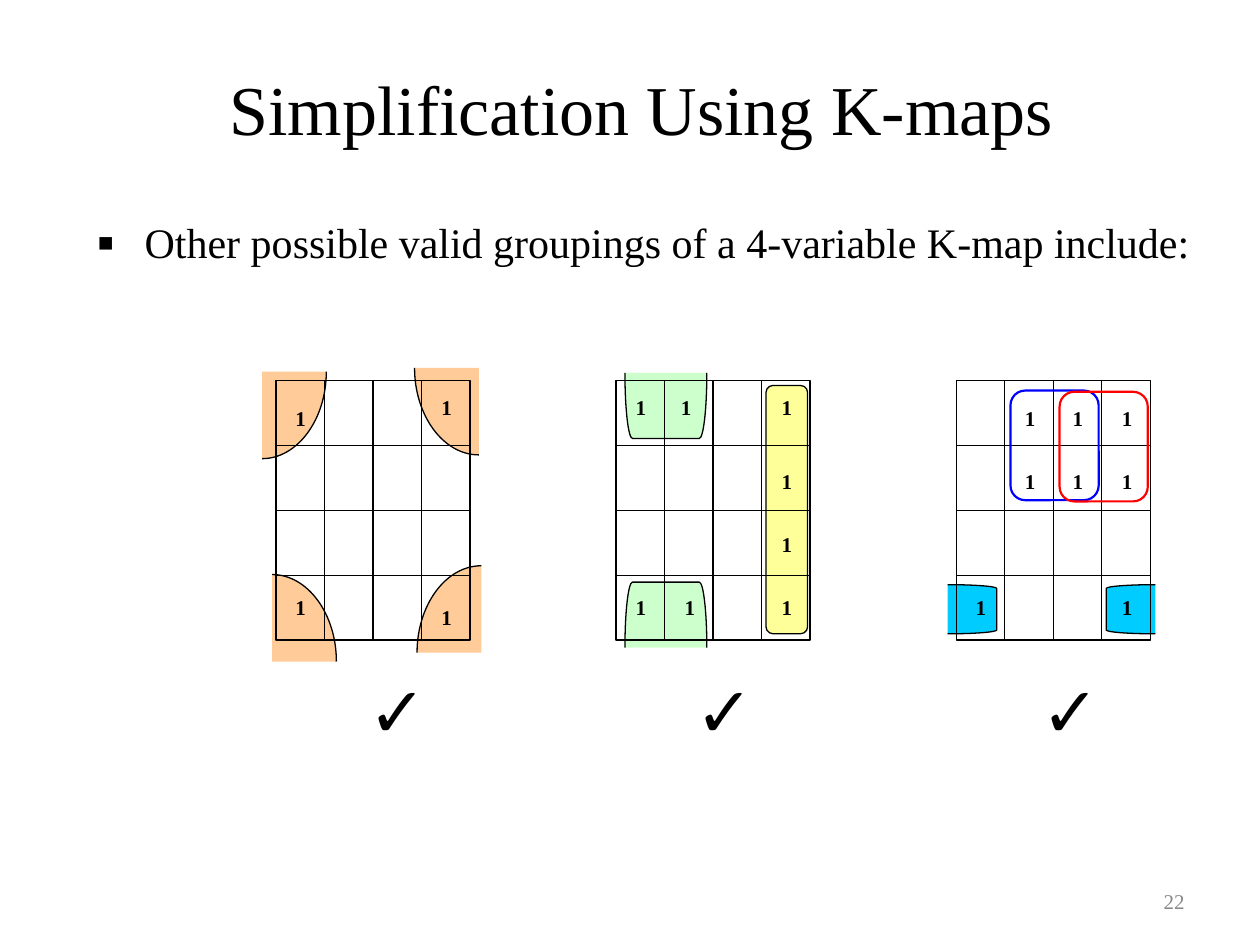
from copy import deepcopy

from lxml import etree
from pptx import Presentation
from pptx.dml.color import RGBColor
from pptx.enum.shapes import MSO_CONNECTOR, MSO_SHAPE
from pptx.enum.text import MSO_ANCHOR, PP_ALIGN
from pptx.oxml.ns import qn
from pptx.util import Pt

PX = 9144
RECT, ROUND = MSO_SHAPE.RECTANGLE, MSO_SHAPE.ROUNDED_RECTANGLE
STRAIGHT = MSO_CONNECTOR.STRAIGHT
TOP, MIDDLE = MSO_ANCHOR.TOP, MSO_ANCHOR.MIDDLE
LEFT, CENTER, RIGHT = PP_ALIGN.LEFT, PP_ALIGN.CENTER, PP_ALIGN.RIGHT
SERIF, BLACK = "Times New Roman", "000000"
WIDE, HIGH, CELLS = 154, 206, 4
BOW = 0.55


def emu(*vals):
    """Turn px lengths into EMU."""
    return [round(val * PX) for val in vals]


def rgb(code):
    """Turn a hex string into a colour."""
    return RGBColor.from_string(code)


def style(shape, fill=None, line=BLACK, width=0.75):
    """Set the fill and outline of a shape."""
    shape.shadow.inherit = False
    if fill:
        shape.fill.solid()
        shape.fill.fore_color.rgb = rgb(fill)
    else:
        shape.fill.background()
    shape.line.color.rgb = rgb(line)
    shape.line.width = Pt(width)


def write(shapes, box, text, size, align=LEFT, anchor=TOP,
          color=BLACK, face=SERIF, bold=False, bullet=None):
    """Add a text box of one paragraph."""
    frame = shapes.add_textbox(*emu(*box)).text_frame
    frame.word_wrap = True
    frame.vertical_anchor = anchor
    para = frame.paragraphs[0]
    para.text = text
    para.alignment = align
    if bullet:
        props = para._p.get_or_add_pPr()
        dent = emu(38)[0]
        props.set("marL", str(dent))
        props.set("indent", str(-dent))
        etree.SubElement(props, qn("a:buSzPct")).set("val", "120000")
        etree.SubElement(props, qn("a:buFont")).set("typeface", "Arial")
        etree.SubElement(props, qn("a:buChar")).set("char", bullet)
    font = para.font
    font.name, font.size, font.bold = face, Pt(size), bold
    font.color.rgb = rgb(color)


def block(shapes, kind, box, **look):
    """Add a styled preset shape."""
    style(shapes.add_shape(kind, *emu(*box)), **look)


def rule(shapes, *ends):
    """Add a thin black line."""
    line = shapes.add_connector(STRAIGHT, *emu(*ends))
    line.line.color.rgb = rgb(BLACK)
    line.line.width = Pt(0.75)
    etree.SubElement(line._element.spPr, qn("a:effectLst"))


def trace(shapes, points, knees, fill, close=False):
    """Add an outline whose steps bend towards their knee, if any."""
    spots = [emu(*point) for point in points]
    maker = shapes.build_freeform(*spots[0])
    maker.add_line_segments(spots[1:], close=close)
    shape = maker.convert_to_shape()
    style(shape, fill)
    track = shape._element.spPr.find(".//" + qn("a:path"))
    for step, start, end, knee in zip(list(track)[1:], spots, spots[1:], knees):
        if knee:
            peak = emu(*knee)
            step.tag = qn("a:cubicBezTo")
            for i, base in enumerate((start, end)):
                x, y = (round(b + BOW * (p - b)) for b, p in zip(base, peak))
                dot = etree.Element(qn("a:pt"))
                dot.set("x", str(x - shape.left))
                dot.set("y", str(y - shape.top))
                step.insert(i, dot)
    return track


def corner(shapes, x, y, right, down):
    """Add a quarter ellipse centred on x, y with only its arc drawn."""
    far, low = x + 51 * right, y + 69 * down
    pie = trace(shapes, [(x, low), (far, y), (x, y)],
                [(far, low), None], "FFCC99", close=True)
    edge = deepcopy(pie)
    for part in edge[-2:]:
        edge.remove(part)
    edge.set("fill", "none")
    pie.set("stroke", "0")
    pie.addnext(edge)


def cap(shapes, fill, first, knee, near, far, bend, last):
    """Add an open band with two rounded corners."""
    trace(shapes, [first, near, far, last], [knee, None, bend], fill)


def grid(shapes, x, y, ones, tick):
    """Add the cells, their ones and the check mark below."""
    block(shapes, RECT, (x, y, WIDE, HIGH))
    for i in range(1, CELLS):
        across, down = x + WIDE * i / CELLS, y + HIGH * i / CELLS
        rule(shapes, x, down, x + WIDE, down)
        rule(shapes, across, y, across, y + HIGH)
    for dx, dy in ones:
        write(shapes, (x + dx, y + dy, 39, 40), "1", 12, CENTER, bold=True)
    write(shapes, (x + tick, y + 223, 58, 77), "✓", 40, face="Arial")


def corners(shapes, x, y):
    """Add the map that groups its four corners."""
    for dx, dy, right, down in ((-11, -7, 1, 1), (161, -10, -1, 1),
                                (-3, 223, 1, -1), (163, 216, -1, -1)):
        corner(shapes, x + dx, y + dy, right, down)
    grid(shapes, x, y, [(0, 15), (116, 6), (0, 165), (116, 173)], 64)


def column(shapes, x, y):
    """Add the map that groups a column and the top and bottom pairs."""
    block(shapes, ROUND, (x + 119, y + 4, 33, 197), fill="FFFF99")
    left, right = x + 7, x + 72
    for rim, end in ((y - 6, y + 46), (y + 212, y + 160)):
        cap(shapes, "CCFFCC", (left, rim), (left, end), (left + 6, end),
            (right - 6, end), (right, end), (right, rim))
    ones = [(116, dy) for dy in (6, 65, 115, 165)]
    grid(shapes, x, y, ones + [(0, 6), (36, 6), (0, 165), (39, 165)], 53)


def squares(shapes, x, y):
    """Add the map that groups two squares and the left and right edges."""
    top, low = y + 162, y + 201
    for rim, end in ((x + 158, x + 119), (x - 7, x + 32)):
        cap(shapes, "00CCFF", (rim, top), (end, top), (end, top + 3),
            (end, low - 3), (end, low), (rim, low))
    ones = [(dx, dy) for dy in (15, 65) for dx in (39, 77, 116)]
    grid(shapes, x, y, ones + [(0, 165), (116, 165)], 58)
    for dx, dy, color in ((43, 8, "0000FF"), (82, 9, "FF0000")):
        block(shapes, ROUND, (x + dx, y + dy, 70, 87), line=color, width=1.25)


def main():
    """Build and save the slide."""
    deck = Presentation()
    deck.slide_width, deck.slide_height = emu(1000, 750)
    shapes = deck.slides.add_slide(deck.slide_layouts[6]).shapes
    write(shapes, (83, 25, 852, 121), "Simplification Using K-maps", 40, CENTER, MIDDLE)
    write(shapes, (67, 167, 900, 100),
          "Other possible valid groupings of a 4-variable K-map include:",
          24, bullet="▪")
    write(shapes, (717, 695, 233, 40), "22", 12, RIGHT, MIDDLE, "898989")
    for i, draw in enumerate((corners, column, squares)):
        draw(shapes.add_group_shape().shapes, 219 + 270 * i, 302)
    deck.save("out.pptx")


if __name__ == "__main__":
    main()
